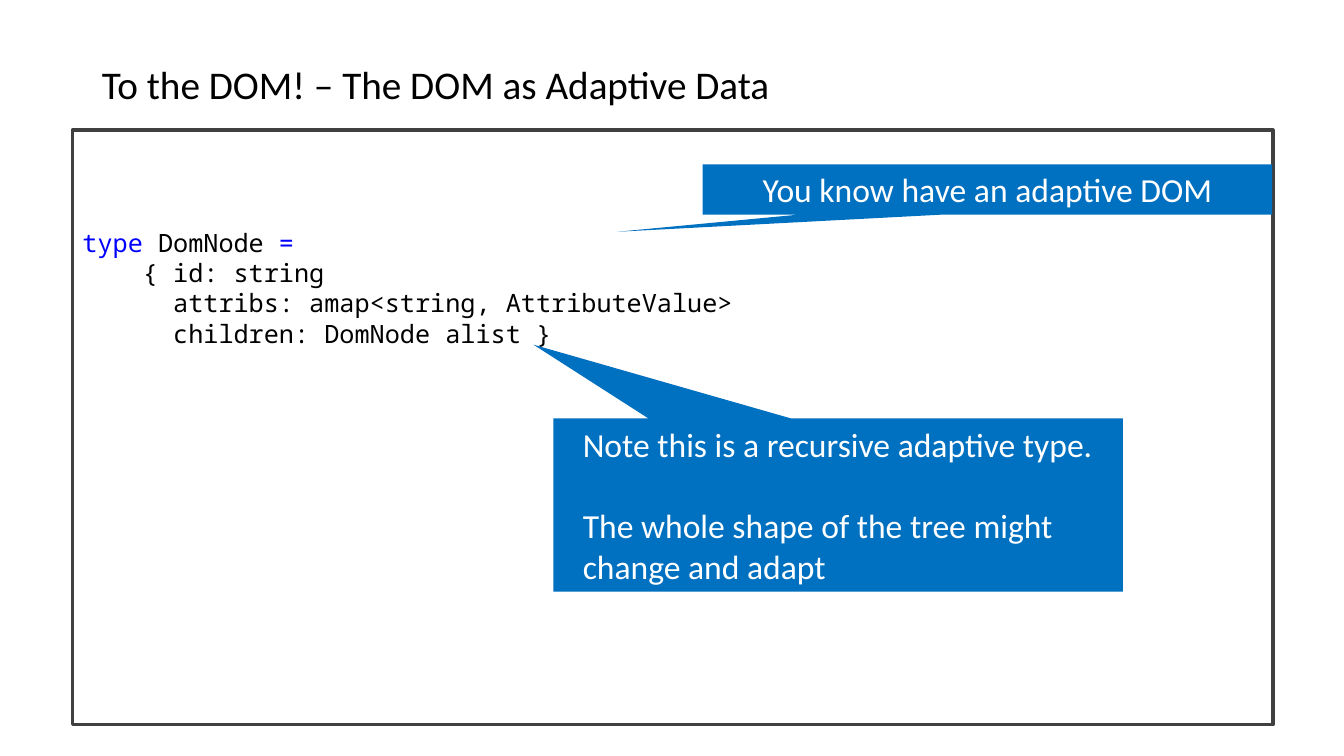
from pptx import Presentation
from pptx.dml.color import RGBColor
from pptx.enum.shapes import MSO_SHAPE
from pptx.enum.text import MSO_ANCHOR, MSO_AUTO_SIZE, PP_ALIGN
from pptx.util import Pt

RECTANGLE = MSO_SHAPE.RECTANGLE
CALLOUT = MSO_SHAPE.RECTANGULAR_CALLOUT
TOP, MIDDLE = MSO_ANCHOR.TOP, MSO_ANCHOR.MIDDLE
LEFT, CENTER = PP_ALIGN.LEFT, PP_ALIGN.CENTER
NO_FIT = MSO_AUTO_SIZE.NONE
TITLE_ONLY = 5

BLACK, WHITE, GRAY = "000000", "FFFFFF", "404040"
KEYWORD, BLUE = "0000FF", "0070C0"

TITLE = "To the DOM! – The DOM as Adaptive Data"
TITLE_AREA = (65.5, 39.6, 497, 41.4)
CODE_AREA = (51.8, 92.9, 857.5, 424.8)
CODE = [
    [("type ", KEYWORD), ("DomNode ", BLACK), ("=", KEYWORD)],
    [("    { id: string", BLACK)],
    [("      attribs: amap<string, AttributeValue>", BLACK)],
    [("      children: DomNode alist }", BLACK)],
]
CALLOUTS = [
    {"area": (501.9, 117.4, 406.8, 36), "tip": (-0.65, 0.838),
     "align": CENTER, "indent": 3,
     "lines": ["You know have an adaptive DOM"]},
    {"area": (395.3, 298.8, 406.8, 123.8), "tip": (-0.535, -0.925),
     "align": LEFT, "indent": 21,
     "lines": ["Note this is a recursive adaptive type.",
               "The whole shape of the tree might change and adapt"]},
]

CODE_FORMAT = {"name": "Noto Sans Mono", "size": Pt(18)}
NOTE_FORMAT = {"name": "Calibri", "size": Pt(24)}
TITLE_FORMAT = {"name": "Calibri", "size": Pt(28)}


def color(value):
    return RGBColor.from_string(value)


def set_values(target, values):
    for name, value in values.items():
        setattr(target, name, value)


def place(shape, area):
    sides = ("left", "top", "width", "height")
    set_values(shape, dict(zip(sides, map(Pt, area))))


def add_box(page, kind, area, fill):
    box = page.shapes.add_shape(kind, *map(Pt, area))
    box.shadow.inherit = False
    box.fill.solid()
    box.fill.fore_color.rgb = color(fill)
    box.line.fill.background()
    return box


def write(box, lines, text_format, frame_format, para_format, gap=0):
    frame = box.text_frame
    set_values(frame, {"word_wrap": True, "auto_size": NO_FIT, **frame_format})
    for index, line in enumerate(lines):
        para = frame.add_paragraph() if index else frame.paragraphs[0]
        set_values(para, {**para_format, "space_before": Pt(gap if index else 0)})
        for text, shade in line:
            span = para.add_run()
            span.text = text
            set_values(span.font, text_format)
            span.font.color.rgb = color(shade)


def main():
    deck = Presentation()
    deck.slide_width, deck.slide_height = Pt(960), Pt(540)
    page = deck.slides.add_slide(deck.slide_layouts[TITLE_ONLY])

    title = page.shapes.title
    place(title, TITLE_AREA)
    write(title, [[(TITLE, BLACK)]], TITLE_FORMAT,
          {"vertical_anchor": TOP}, {"alignment": LEFT})

    code_box = add_box(page, RECTANGLE, CODE_AREA, WHITE)
    code_box.line.color.rgb = color(GRAY)
    code_box.line.width = Pt(2.25)
    write(code_box, CODE, CODE_FORMAT,
          {"vertical_anchor": TOP, "margin_top": Pt(69.4)},
          {"alignment": LEFT, "line_spacing": Pt(21.6)})

    for note in CALLOUTS:
        callout = add_box(page, CALLOUT, note["area"], BLUE)
        for index, value in enumerate(note["tip"]):
            callout.adjustments[index] = value
        write(callout, [[(line, WHITE)] for line in note["lines"]], NOTE_FORMAT,
              {"vertical_anchor": MIDDLE, "margin_left": Pt(note["indent"]),
               "margin_right": Pt(3)},
              {"alignment": note["align"]}, gap=29)

    deck.save("out.pptx")


if __name__ == "__main__":
    main()
